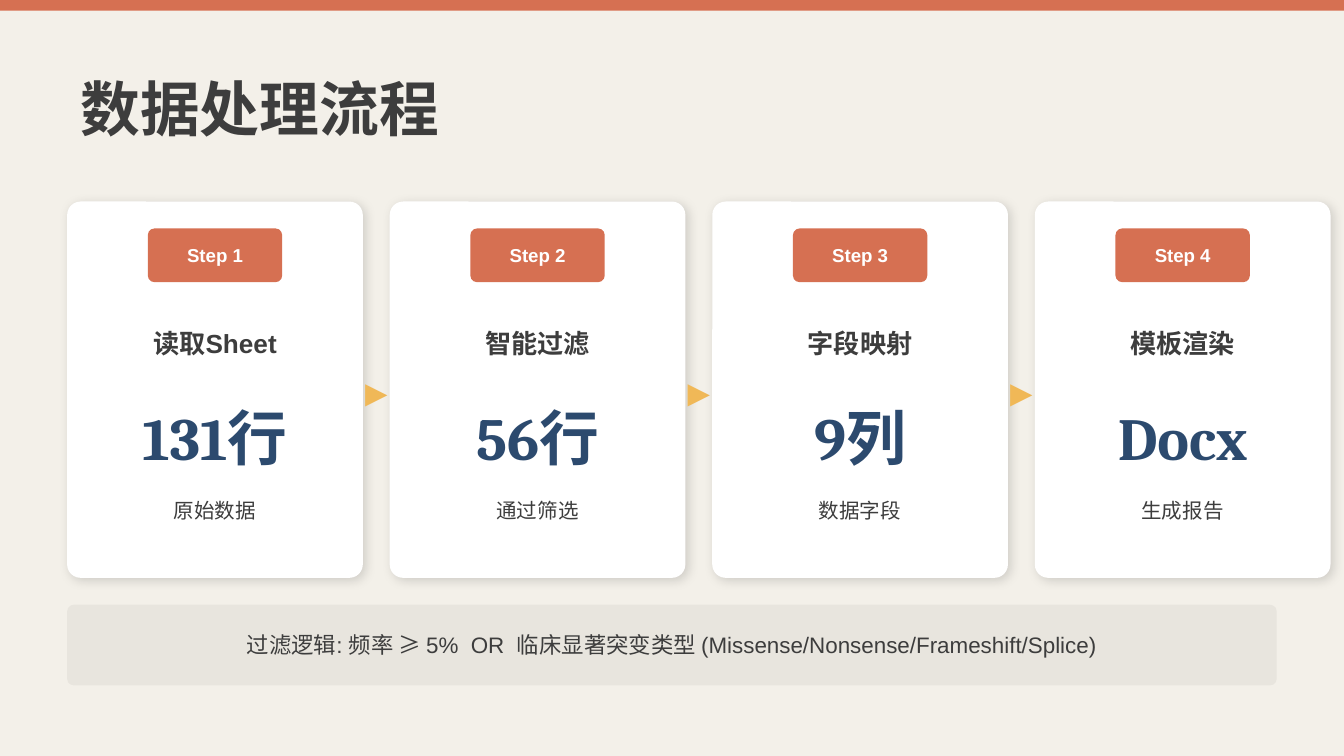
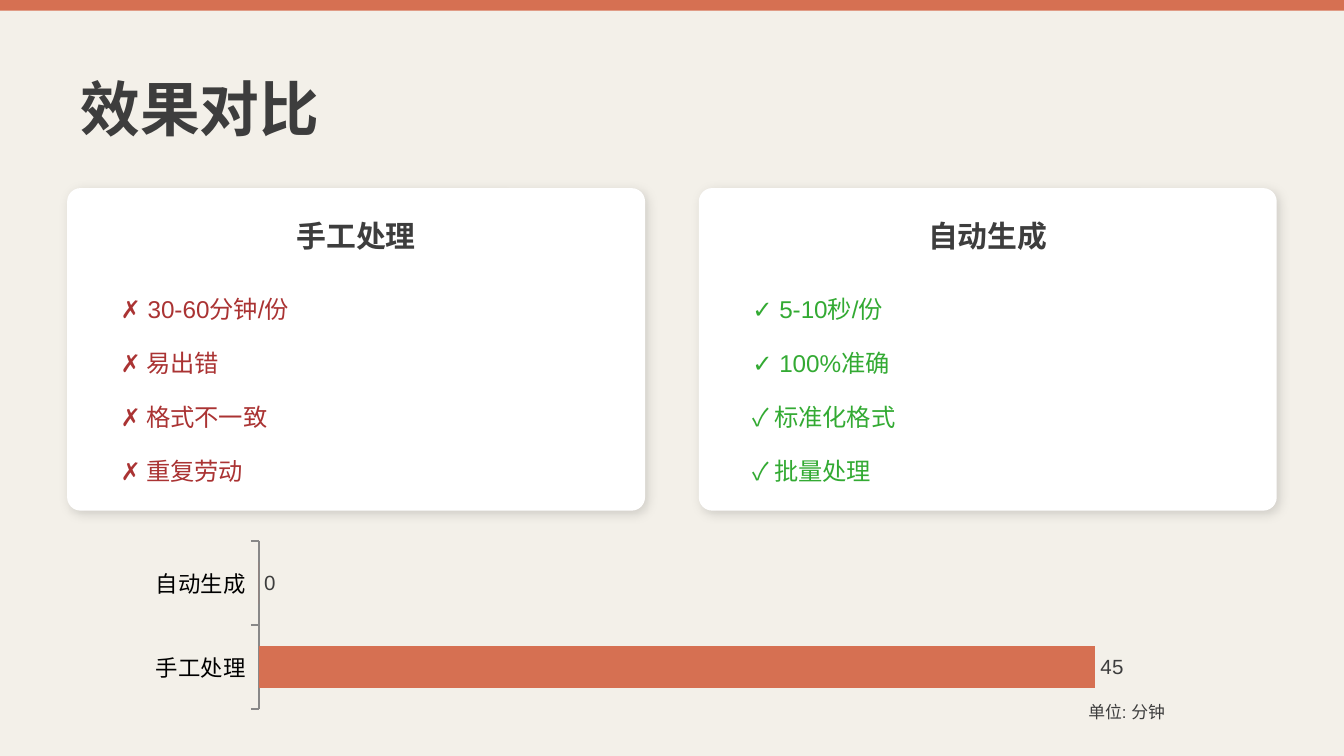
"""Build two slides on a data report flow and its gains."""
from lxml import etree
from pptx import Presentation
from pptx.chart.data import CategoryChartData
from pptx.dml.color import RGBColor
from pptx.enum.chart import XL_CHART_TYPE, XL_LABEL_POSITION, XL_TICK_MARK
from pptx.enum.shapes import MSO_SHAPE
from pptx.enum.text import MSO_ANCHOR, PP_ALIGN
from pptx.oxml.ns import qn
from pptx.util import Inches, Pt

RECT, ROUND = MSO_SHAPE.RECTANGLE, MSO_SHAPE.ROUNDED_RECTANGLE
LEFT, CENTER = PP_ALIGN.LEFT, PP_ALIGN.CENTER
MIDDLE = MSO_ANCHOR.MIDDLE
BARS = XL_CHART_TYPE.BAR_CLUSTERED
OUTER = XL_LABEL_POSITION.OUTSIDE_END
TICK_OUT = XL_TICK_MARK.OUTSIDE

PAPER, WHITE, PANEL = "F3F0E9", "FFFFFF", "E8E5DE"
CORAL, GOLD, NAVY = "D67052", "F0B857", "2C4A6E"
INK, BLACK, GRAY = "3D3D3D", "000000", "888888"
RED, GREEN = "AA3333", "33AA33"
HEAD, BODY = "Cambria", "Arial"

STEPS = [
    ("读取Sheet", "131行", "原始数据"),
    ("智能过滤", "56行", "通过筛选"),
    ("字段映射", "9列", "数据字段"),
    ("模板渲染", "Docx", "生成报告"),
]
LOGIC = "过滤逻辑: 频率 ≥ 5%  OR  临床显著突变类型 (Missense/Nonsense/Frameshift/Splice)"
SIDES = [
    ("手工处理", "✗", RED, ["30-60分钟/份", "易出错", "格式不一致", "重复劳动"]),
    ("自动生成", "✓", GREEN, ["5-10秒/份", "100%准确", "标准化格式", "批量处理"]),
]
MINUTES = {"手工处理": 45, "自动生成": 0}


def rgb(code):
    return RGBColor.from_string(code)


def style(font, size, color, name=BODY, bold=False):
    font.size, font.name, font.bold = Pt(size), name, bold
    font.color.rgb = rgb(color)


def block(slide, x, y, w, h, fill, radius=0):
    kind = ROUND if radius else RECT
    shape = slide.shapes.add_shape(kind, Inches(x), Inches(y), Inches(w), Inches(h))
    if radius:
        shape.adjustments[0] = radius / min(w, h)
    shape.fill.solid()
    shape.fill.fore_color.rgb = rgb(fill)
    shape.line.fill.background()
    shape.shadow.inherit = False
    return shape


def card(slide, x, y, w, h):
    shape = block(slide, x, y, w, h, WHITE, 0.1)
    effects = shape._element.spPr.find(qn("a:effectLst"))
    shade = etree.SubElement(effects, qn("a:outerShdw"), blurRad=str(Pt(6)),
                             dist=str(Pt(2)), dir=str(45 * 60000), rotWithShape="0")
    tint = etree.SubElement(shade, qn("a:srgbClr"), val=BLACK)
    etree.SubElement(tint, qn("a:alpha"), val="15000")


def label(slide, x, y, w, h, text, size, color=INK, name=BODY, bold=False, align=CENTER):
    box = slide.shapes.add_textbox(Inches(x), Inches(y), Inches(w), Inches(h))
    frame = box.text_frame
    frame.word_wrap = True
    frame.vertical_anchor = MIDDLE
    para = frame.paragraphs[0]
    para.text, para.alignment = text, align
    style(para.font, size, color, name, bold)


def page(deck, title):
    slide = deck.slides.add_slide(deck.slide_layouts[6])
    slide.background.fill.solid()
    slide.background.fill.fore_color.rgb = rgb(PAPER)
    block(slide, 0, 0, 10, 0.08, CORAL)
    label(slide, 0.5, 0.4, 9, 0.8, title, 32, INK, HEAD, True, LEFT)
    return slide


def flow(deck):
    slide = page(deck, "数据处理流程")
    wide, pitch = 2.2, 2.4
    for i, (task, figure, note) in enumerate(STEPS):
        x = 0.5 + i * pitch
        badge = x + (wide - 1) / 2
        card(slide, x, 1.5, wide, 2.8)
        block(slide, badge, 1.7, 1, 0.4, CORAL, 0.05)
        label(slide, badge, 1.7, 1, 0.4, f"Step {i + 1}", 10, WHITE, bold=True)
        label(slide, x, 2.3, wide, 0.5, task, 14, bold=True)
        label(slide, x, 2.9, wide, 0.7, figure, 32, NAVY, HEAD, True)
        label(slide, x, 3.6, wide, 0.4, note, 11)
        if i < len(STEPS) - 1:
            label(slide, x + wide - 0.1, 2.6, 0.4, 0.6, "▸", 24, GOLD)
    block(slide, 0.5, 4.5, 9, 0.6, PANEL, 0.05)
    label(slide, 0.5, 4.5, 9, 0.6, LOGIC, 12)


def graph(slide):
    data = CategoryChartData(number_format="#,##0")
    data.categories = list(MINUTES)
    data.add_series("Series 1", list(MINUTES.values()))
    chart = slide.shapes.add_chart(BARS, Inches(1), Inches(4), Inches(8), Inches(1.3), data).chart
    chart.has_legend = chart.has_title = False
    style(chart.font, 10, BLACK, "Calibri")

    axis = chart.category_axis
    axis.major_tick_mark = TICK_OUT
    axis.format.line.color.rgb = rgb(GRAY)
    axis.format.line.width = Pt(1)
    style(axis.tick_labels.font, 12, BLACK)
    scale = chart.value_axis
    scale.visible = scale.has_major_gridlines = False
    scale.minimum_scale, scale.maximum_scale = 0, 50

    plot = chart.plots[0]
    plot.gap_width, plot.vary_by_categories = 100, False
    bars = plot.series[0]
    bars.format.fill.solid()
    bars.format.fill.fore_color.rgb = rgb(CORAL)
    tags = bars.data_labels
    tags.show_value, tags.position = True, OUTER
    tags.number_format, tags.number_format_is_linked = "#,##0", False
    style(tags.font, 11, INK)


def gains(deck):
    slide = page(deck, "效果对比")
    wide, pitch = 4.3, 4.7
    for i, (name, mark, color, points) in enumerate(SIDES):
        x = 0.5 + i * pitch
        card(slide, x, 1.4, wide, 2.4)
        label(slide, x, 1.5, wide, 0.5, name, 16, bold=True)
        for j, point in enumerate(points):
            label(slide, x + 0.3, 2.1 + j * 0.4, 3.8, 0.4, f"{mark} {point}", 13, color, align=LEFT)
    graph(slide)
    label(slide, 8, 5.15, 1.5, 0.3, "单位: 分钟", 9, align=LEFT)


def main():
    deck = Presentation()
    deck.slide_width = Inches(10)
    deck.slide_height = deck.slide_width * 9 // 16
    flow(deck)
    gains(deck)
    deck.save("out.pptx")


if __name__ == "__main__":
    main()
